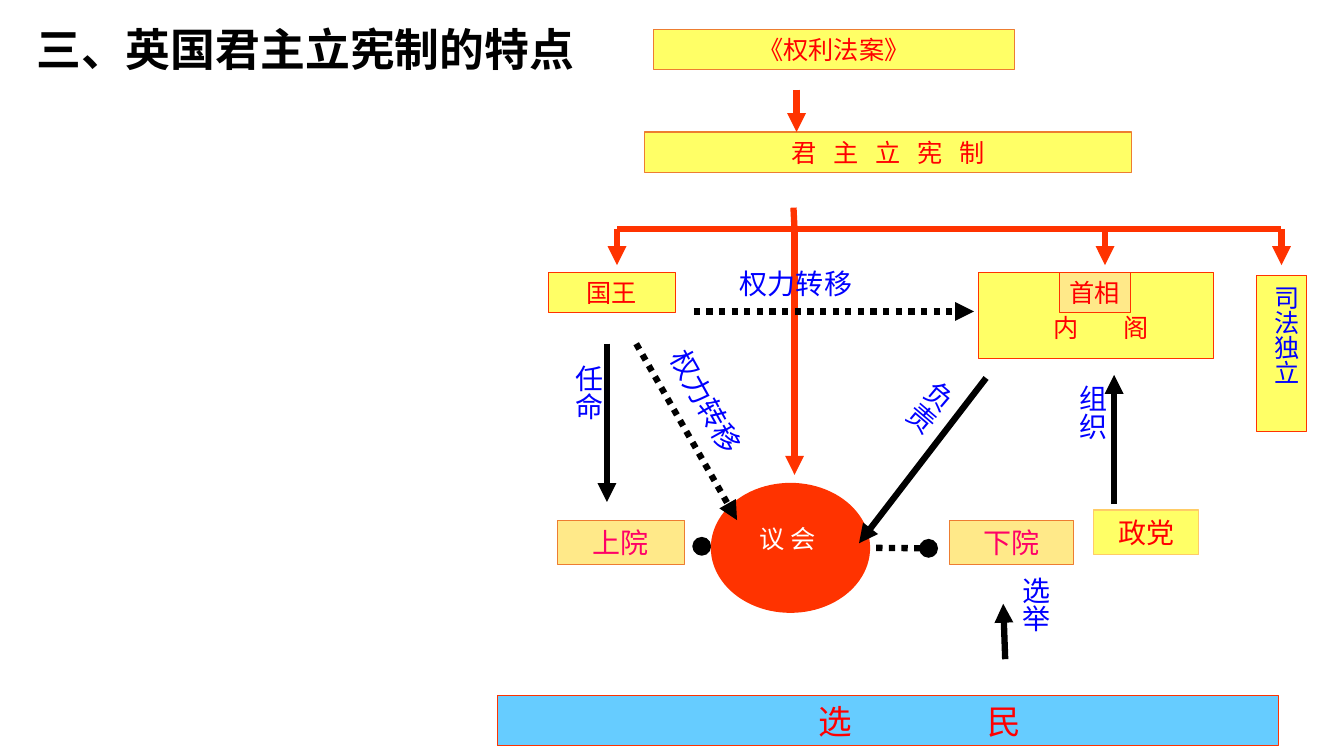
from dataclasses import dataclass

from pptx import Presentation
from pptx.dml.color import RGBColor
from pptx.enum.dml import MSO_LINE
from pptx.enum.shapes import MSO_CONNECTOR, MSO_SHAPE
from pptx.enum.text import MSO_ANCHOR, PP_ALIGN
from pptx.oxml.ns import qn
from pptx.util import Emu, Pt

EMU_PER_PX = 9144  # 100 px to the inch


@dataclass(frozen=True)
class Theme:
    black: str = "000000"
    white: str = "FFFFFF"
    red: str = "FF0000"
    pink: str = "FF0066"
    blue: str = "0000FF"
    scarlet: str = "FF3300"
    orange: str = "ED7D31"
    gold: str = "FFCC66"
    yellow: str = "FFFF66"
    cream: str = "FFE989"
    sky: str = "66CCFF"
    font: str = "Noto Sans CJK SC"
    serif: str = "Times New Roman"
    sans: str = "Arial"
    title: int = 32
    large: int = 24
    medium: int = 20
    small: int = 18
    thin: float = 0.75
    thick: float = 4.5


THEME = Theme()


def px(value):
    return Emu(value * EMU_PER_PX)


def format_run(run, size, color, font=THEME.font, bold=False):
    run.font.size = Pt(size)
    run.font.bold = bold
    run.font.name = font
    run.font.color.rgb = RGBColor.from_string(color)
    properties = run._r.get_or_add_rPr()
    east_asian = properties.makeelement(qn("a:ea"), {"typeface": THEME.font})
    properties.find(qn("a:latin")).addnext(east_asian)


def write(shape, text, size, color, font=THEME.font, gap=0, indent=0,
          align=PP_ALIGN.CENTER):
    """Write one line; gap is the letter spacing in points."""
    frame = shape.text_frame
    frame.word_wrap = True
    frame.vertical_anchor = MSO_ANCHOR.MIDDLE
    frame.margin_left = px(indent)
    frame.margin_right = frame.margin_top = frame.margin_bottom = 0
    paragraph = frame.paragraphs[0]
    paragraph.alignment = align
    for part in ((text[:-1], text[-1]) if gap else (text,)):
        run = paragraph.add_run()
        run.text = part
        format_run(run, size, color, font)
    if gap:  # the last letter takes no spacing
        paragraph.runs[0]._r.get_or_add_rPr().set("spc", str(gap * 100))


def write_vertical(shape, text, size):
    write(shape, text, size, THEME.blue, align=PP_ALIGN.LEFT)
    frame = shape.text_frame
    frame.vertical_anchor = MSO_ANCHOR.TOP
    frame.margin_left = frame.margin_right = px(10)
    frame.margin_top = frame.margin_bottom = px(5)
    frame._txBody.bodyPr.set("vert", "eaVert")


@dataclass
class Region:
    """An area of the slide; its parts are placed from its top left corner."""
    shapes: object
    left: int
    top: int

    def place(self, left, top, width, height):
        return px(self.left + left), px(self.top + top), px(width), px(height)

    def panel(self, at, fill, line=None, kind=MSO_SHAPE.RECTANGLE):
        shape = self.shapes.add_shape(kind, *self.place(*at))
        shape.shadow.inherit = False
        shape.fill.solid()
        shape.fill.fore_color.rgb = RGBColor.from_string(fill)
        if line:
            shape.line.color.rgb = RGBColor.from_string(line)
            shape.line.width = Pt(THEME.thin)
        else:
            shape.line.fill.background()
        return shape

    def label(self, at, rotation=0):
        box = self.shapes.add_textbox(*self.place(*at))
        box.rotation = rotation
        return box

    def line(self, start, end, color=THEME.black, head=None, tail="triangle",
             dotted=False):
        points = [px(value) for x, y in (start, end)
                  for value in (self.left + x, self.top + y)]
        connector = self.shapes.add_connector(MSO_CONNECTOR.STRAIGHT, *points)
        connector.line.color.rgb = RGBColor.from_string(color)
        connector.line.width = Pt(THEME.thick)
        if dotted:
            connector.line.dash_style = MSO_LINE.ROUND_DOT
        outline = connector.line._get_or_add_ln()
        for tag, end_type in (("a:headEnd", head), ("a:tailEnd", tail)):
            if end_type:
                outline.append(outline.makeelement(qn(tag), {"type": end_type}))
        properties = connector._element.spPr
        properties.append(properties.makeelement(qn("a:effectLst"), {}))


def add_title(title):
    title.left, title.top, title.width, title.height = map(px, (26, 17, 554, 64))
    frame = title.text_frame
    frame.text = "三、英国君主立宪制的特点"
    frame.word_wrap = False
    frame.vertical_anchor = MSO_ANCHOR.TOP
    frame.paragraphs[0].alignment = PP_ALIGN.LEFT
    format_run(frame.paragraphs[0].runs[0], THEME.title, THEME.black, bold=True)


def add_voters(region):
    bar = region.panel((0, 128, 775, 50), THEME.sky, THEME.scarlet)
    write(bar, "选民", THEME.large, THEME.red, gap=97, indent=64)
    write_vertical(region.label((502, 0, 54, 110)), "选举", THEME.medium)
    region.line((504, 92), (502, 37))


def add_parliament(region):
    for text, left, width in (("上院", 0, 126), ("下院", 389, 123)):
        house = region.panel((left, 46, width, 44), THEME.cream, THEME.orange)
        write(house, text, THEME.medium, THEME.pink)
    region.line((368, 74), (143, 72), head="oval", tail="oval", dotted=True)
    region.panel((152, 9, 158, 129), THEME.scarlet, kind=MSO_SHAPE.OVAL)
    write(region.label((147, 44, 163, 40)), "议 会", THEME.small, THEME.white)


def add_charter(region):
    for text, at, gap in (("《权利法案》", (9, 0, 358, 40), 0),
                          ("君主立宪制", (0, 102, 483, 40), 12)):
        panel = region.panel(at, THEME.yellow, THEME.orange)
        write(panel, text, THEME.small, THEME.red, gap=gap)
    region.line((151, 60), (151, 102), THEME.scarlet)


def add_branches(region):
    # King, cabinet with prime minister, and courts
    king = region.panel((0, 70, 126, 40), THEME.yellow, THEME.scarlet)
    write(king, "国王", THEME.small, THEME.red)
    region.panel((427, 70, 233, 86), THEME.yellow, THEME.scarlet)
    minister = region.panel((507, 70, 70, 40), THEME.cream, THEME.scarlet)
    write(minister, "首相", THEME.small, THEME.red)
    write(region.label((419, 105, 258, 40)), "内阁", THEME.small, THEME.red, gap=32)
    courts = region.panel((702, 73, 50, 155), THEME.yellow, THEME.scarlet)
    write_vertical(courts, "司法独立", THEME.small)
    # Branching line
    for left in (68, 552, 727):
        region.line((left, 27), (left, 63), THEME.scarlet)
    region.line((68, 27), (727, 27), THEME.scarlet, tail=None)
    region.line((243, 6), (244, 27), THEME.scarlet, tail=None)
    region.line((244, 27), (244, 271), THEME.scarlet)


def add_relations(region):
    # Solid arrows with vertical labels
    for text, at, rotation, start, end in (
            ("任命", (0, 93, 54, 148), 0, (51, 82), (51, 239)),
            ("负责", (310, 92, 54, 171), 40.3, (427, 116), (301, 280)),
            ("组织", (500, 113, 54, 142), 0, (554, 241), (554, 113))):
        write_vertical(region.label(at, rotation), text, THEME.medium)
        region.line(start, end)
    # Transfers of power
    for at, rotation, start, end in (
            ((84, 117, 131, 44), 60.9, (80, 82), (180, 257)),
            ((173, 0, 131, 44), 0, (137, 50), (415, 50))):
        region.line(start, end, dotted=True)
        write(region.label(at, rotation), "权力转移", THEME.medium, THEME.blue,
              THEME.sans)
    party = region.panel((534, 247, 104, 44), THEME.yellow, THEME.gold)
    write(party, "政党", THEME.medium, THEME.red, THEME.serif)


def main():
    presentation = Presentation()
    presentation.slide_width, presentation.slide_height = px(1333), px(750)
    slide = presentation.slides.add_slide(presentation.slide_layouts[5])
    add_title(slide.shapes.title)
    for add_region, left, top in ((add_voters, 493, 562),
                                  (add_parliament, 553, 470),
                                  (add_charter, 639, 29),
                                  (add_branches, 544, 200),
                                  (add_relations, 551, 259)):
        add_region(Region(slide.shapes, left, top))
    presentation.save("out.pptx")


if __name__ == "__main__":
    main()
